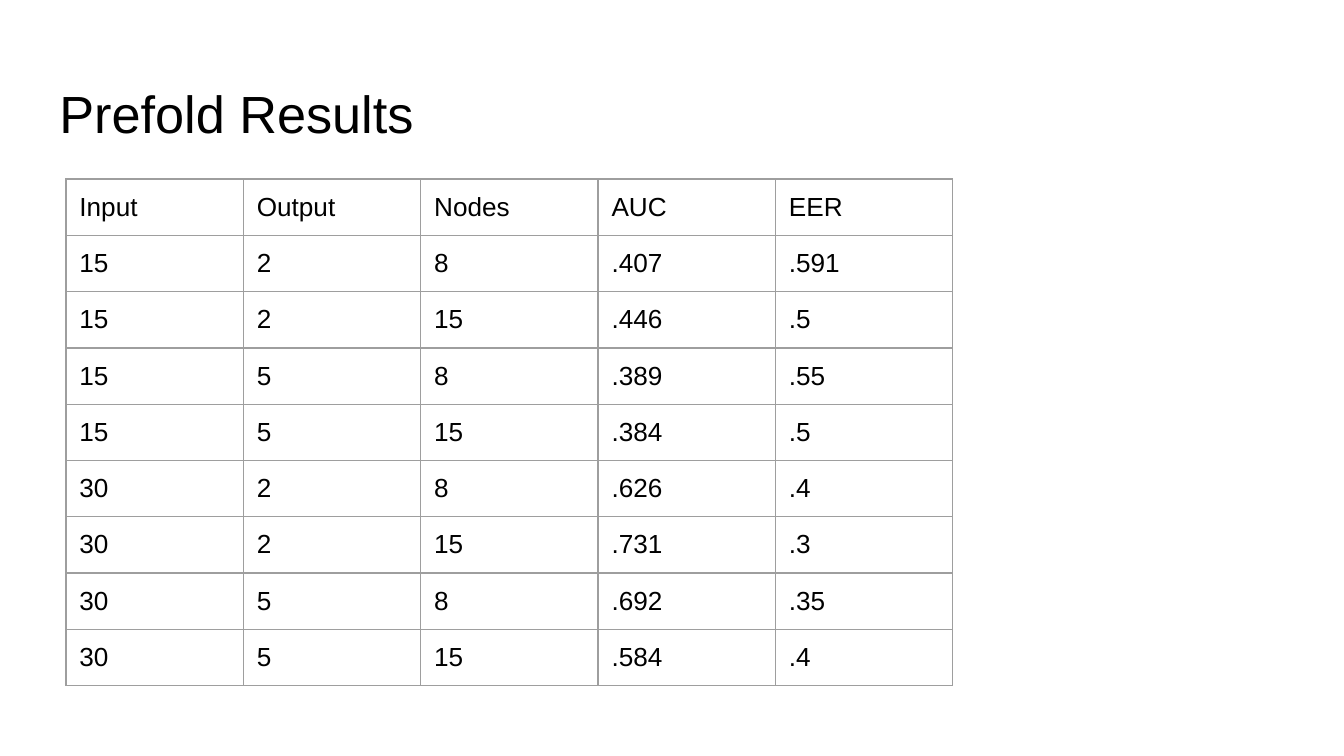
import lxml.etree
import pptx
import pptx.dml.color
import pptx.enum.text
import pptx.oxml.ns
import pptx.util

SCALE = 914400 / 134.4
COLOURS = {"text": "000000", "border": "9E9E9E", "page": "FFFFFF"}
FONT = "Arial"
INSET = pptx.util.Inches(0.1)
TITLE_BOX = (46, 66, 1252, 84)
TABLE_BOX = (66, 179, 887, 505)
RESULTS = [
    ("Input", "Output", "Nodes", "AUC", "EER"),
    ("15", "2", "8", ".407", ".591"),
    ("15", "2", "15", ".446", ".5"),
    ("15", "5", "8", ".389", ".55"),
    ("15", "5", "15", ".384", ".5"),
    ("30", "2", "8", ".626", ".4"),
    ("30", "2", "15", ".731", ".3"),
    ("30", "5", "8", ".692", ".35"),
    ("30", "5", "15", ".584", ".4"),
]


def px(length):
    """Turn pixels into EMU."""
    return pptx.util.Emu(round(length * SCALE))


def rgb(name):
    """Look up a named colour."""
    return pptx.dml.color.RGBColor.from_string(COLOURS[name])


def write(frame, text, size, spacing=1.0):
    """Put one left-aligned line of text into a text frame."""
    para = frame.paragraphs[0]
    para.alignment = pptx.enum.text.PP_ALIGN.LEFT
    para.line_spacing = spacing
    span = para.add_run()
    span.text = text
    span.font.name = FONT
    span.font.size = pptx.util.Pt(size)
    span.font.bold = False
    span.font.color.rgb = rgb("text")


def set_insets(holder):
    """Give a cell or text frame equal insets on all sides."""
    for side in ("left", "top", "right", "bottom"):
        setattr(holder, "margin_" + side, INSET)


def add_borders(cell):
    """Draw a thin line on each side of a cell."""
    qn = pptx.oxml.ns.qn
    properties = cell._tc.get_or_add_tcPr()
    for index, side in enumerate(("lnL", "lnR", "lnT", "lnB")):
        line = lxml.etree.Element(qn("a:" + side), w=str(pptx.util.Pt(0.75)))
        fill = lxml.etree.SubElement(line, qn("a:solidFill"))
        lxml.etree.SubElement(fill, qn("a:srgbClr"), val=COLOURS["border"])
        properties.insert(index, line)


def place_title(page, box, text):
    """Move and format the title placeholder."""
    title = page.shapes.title
    title.left, title.top, title.width, title.height = map(px, box)
    frame = title.text_frame
    frame.word_wrap = True
    frame.auto_size = pptx.enum.text.MSO_AUTO_SIZE.NONE
    frame.vertical_anchor = pptx.enum.text.MSO_ANCHOR.MIDDLE
    set_insets(frame)
    write(frame, text, 28, spacing=1.15)


def place_table(page, box, rows):
    """Add a plain ruled table with equal rows and columns."""
    width, height = box[2:]
    table = page.shapes.add_table(len(rows), len(rows[0]), *map(px, box)).table
    table.first_row = False
    table.horz_banding = False
    for column in table.columns:
        column.width = px(width / len(rows[0]))
    for row, values in zip(table.rows, rows):
        row.height = px(height / len(rows))
        for cell, value in zip(row.cells, values):
            cell.fill.background()
            set_insets(cell)
            add_borders(cell)
            write(cell.text_frame, value, 14)


def build():
    """Build the results slide and save the deck."""
    deck = pptx.Presentation()
    deck.slide_width, deck.slide_height = px(1344), px(756)
    page = deck.slides.add_slide(deck.slide_layouts.get_by_name("Title Only"))
    page.background.fill.solid()
    page.background.fill.fore_color.rgb = rgb("page")
    place_title(page, TITLE_BOX, "Prefold Results")
    place_table(page, TABLE_BOX, RESULTS)
    deck.save("out.pptx")


build()
